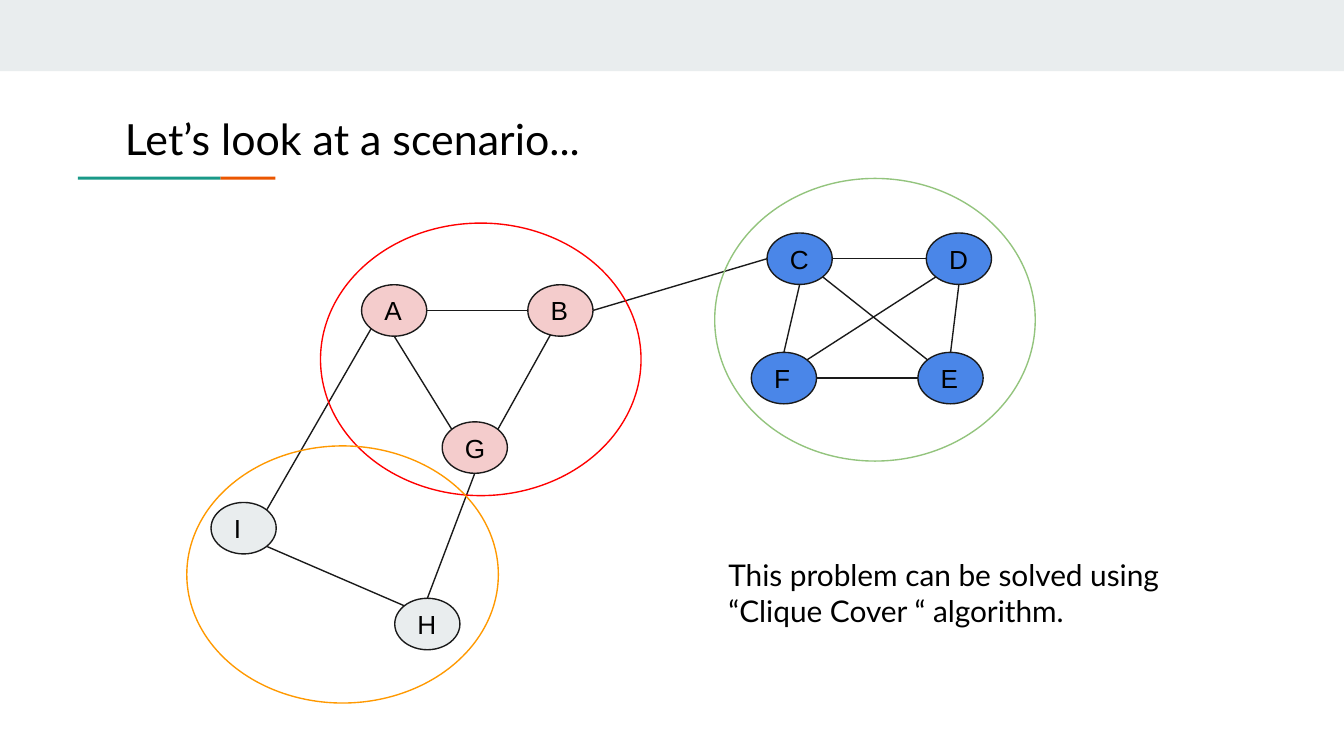
from math import cos, radians, sin

from lxml.etree import SubElement
from pptx import Presentation
from pptx.dml.color import RGBColor
from pptx.enum.shapes import MSO_CONNECTOR, MSO_SHAPE
from pptx.enum.text import MSO_ANCHOR, MSO_AUTO_SIZE, PP_ALIGN
from pptx.oxml.ns import qn
from pptx.util import Inches, Pt

# The 16:9 slide is a grid of 100 columns by 56.25 rows of square cells.
CELL = Inches(0.1)
COLUMNS, ROWS = 100, 56.25
NODE_W, NODE_H = 4.85, 3.83

COLORS = {
    "banner": "E9EDEE",
    "teal": "1A9988",
    "orange": "EB5600",
    "outline": "1A1A1A",
    "text": "000000",
    "pink": "F4CCCC",
    "gray": "E9EDEE",
    "blue": "4A86E8",
    "red ring": "FF0000",
    "amber ring": "FF9900",
    "green ring": "93C47D",
}

# Label: (centre column, centre row, fill)
NODES = {
    "A": (29.33, 23.1, "pink"),
    "B": (41.7, 23.1, "pink"),
    "G": (35.33, 33.3, "pink"),
    "I": (18.13, 39.3, "gray"),
    "H": (31.8, 46.43, "gray"),
    "C": (59.5, 19.25, "blue"),
    "F": (58.33, 28.13, "blue"),
    "E": (70.73, 28.13, "blue"),
    "D": (71.35, 19.25, "blue"),
}

# Start node, angle on its rim, end node, angle on its rim (clockwise from right)
EDGES = [
    ("A", 0, "B", 180),
    ("G", 315, "B", 108),
    ("A", 90, "G", 225),
    ("I", 315, "A", 135),
    ("H", 270, "G", 90),
    ("I", 45, "H", 225),
    ("C", 180, "B", 0),
    ("F", 270, "C", 90),
    ("D", 180, "C", 0),
    ("F", 0, "E", 180),
    ("E", 270, "D", 90),
    ("E", 225, "C", 45),
    ("D", 135, "F", 315),
]

# Left, top, width, height, outline
CLIQUE_RINGS = [
    (23.85, 16.6, 23.85, 20.28, "red ring"),
    (13.9, 33.18, 23.18, 19.13, "amber ring"),
    (53.18, 13.28, 23.85, 21.03, "green ring"),
]


def cells(*counts):
    return [round(count * CELL) for count in counts]


def rgb(name):
    return RGBColor.from_string(COLORS[name])


def write(shape, text, size, font="Arial", anchor=MSO_ANCHOR.TOP):
    frame = shape.text_frame
    frame.word_wrap = True
    frame.auto_size = MSO_AUTO_SIZE.NONE
    frame.vertical_anchor = anchor
    frame.margin_left = frame.margin_right = CELL
    frame.margin_top = frame.margin_bottom = CELL
    paragraph = frame.paragraphs[0]
    paragraph.alignment = PP_ALIGN.LEFT
    paragraph.space_before = Pt(0)
    run = paragraph.add_run()
    run.text = text
    run.font.name = font
    run.font.size = Pt(size)
    run.font.color.rgb = rgb("text")


def fill_placeholder(placeholder, box, text, size):
    placeholder.left, placeholder.top, placeholder.width, placeholder.height = cells(*box)
    write(placeholder, text, size, font="Lato")


def remove_bullet(paragraph):
    properties = paragraph._p.get_or_add_pPr()
    properties.set("marL", "0")
    properties.set("indent", "0")
    SubElement(properties, qn("a:buNone"))


def add_figure(slide, preset, box, fill=None, outline=None):
    figure = slide.shapes.add_shape(preset, *cells(*box))
    figure.shadow.inherit = False
    if fill:
        figure.fill.solid()
        figure.fill.fore_color.rgb = rgb(fill)
    else:
        figure.fill.background()
    if outline:
        figure.line.color.rgb = rgb(outline)
        figure.line.width = Pt(0.75)
    else:
        figure.line.fill.background()
    return figure


def add_node(slide, label, column, row, fill):
    box = (column - NODE_W / 2, row - NODE_H / 2, NODE_W, NODE_H)
    node = add_figure(slide, MSO_SHAPE.OVAL, box, fill, "outline")
    write(node, label, 14, anchor=MSO_ANCHOR.MIDDLE)


def rim_point(label, angle):
    column, row, _ = NODES[label]
    turn = radians(angle)
    return cells(column + NODE_W / 2 * cos(turn), row + NODE_H / 2 * sin(turn))


def add_edge(slide, start, start_angle, end, end_angle):
    edge = slide.shapes.add_connector(
        MSO_CONNECTOR.STRAIGHT, *rim_point(start, start_angle), *rim_point(end, end_angle)
    )
    edge.line.color.rgb = rgb("outline")
    edge.line.width = Pt(0.75)
    SubElement(edge._element.spPr, qn("a:effectLst"))


def main():
    deck = Presentation()
    deck.slide_width, deck.slide_height = cells(COLUMNS, ROWS)
    slide = deck.slides.add_slide(deck.slide_layouts[1])
    title, conclusion = slide.placeholders

    add_figure(slide, MSO_SHAPE.RECTANGLE, (0, 0, COLUMNS, 5.3), "banner")
    add_figure(slide, MSO_SHAPE.RECTANGLE, (16.4, 13.15, 4.1, 0.22), "orange")
    add_figure(slide, MSO_SHAPE.RECTANGLE, (5.8, 13.15, 10.6, 0.22), "teal")

    fill_placeholder(title, (8.3, 7.4, 66.9, 8.8), "Let’s look at a scenario...", 23)
    fill_placeholder(
        conclusion,
        (53.2, 40.4, 40.7, 14),
        "This problem can be solved using “Clique Cover “ algorithm.",
        16,
    )
    remove_bullet(conclusion.text_frame.paragraphs[0])

    for label, (column, row, fill) in NODES.items():
        add_node(slide, label, column, row, fill)
    for edge in EDGES:
        add_edge(slide, *edge)
    for *box, outline in CLIQUE_RINGS:
        add_figure(slide, MSO_SHAPE.OVAL, box, outline=outline)

    deck.save("out.pptx")


if __name__ == "__main__":
    main()
